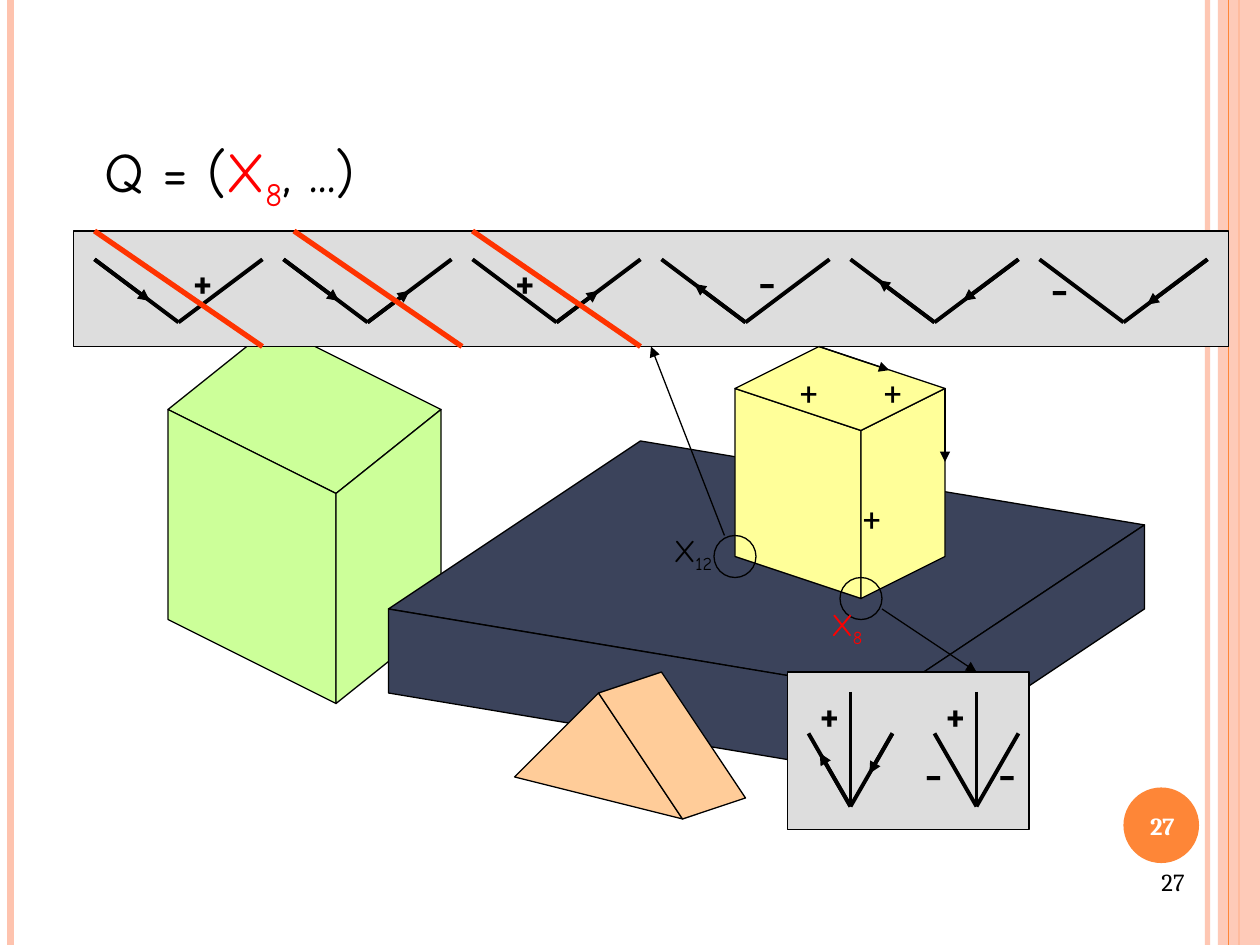
from typing import NamedTuple, Optional

from lxml import etree
from pptx import Presentation, util as u
from pptx.dml import color
from pptx.enum import shapes, text
from pptx.oxml import ns

COLORS = {
    "black": "000000", "white": "FFFFFF", "red": "FF0000", "strike": "FF3300",
    "green": "CCFF99", "slate": "3B435B", "peach": "FFCC99", "yellow": "FFFF99",
    "panel": "DDDDDD", "pink": "FEC3AE", "orange": "FE8637",
}
Point = tuple[float, float]


class Run(NamedTuple):
    """A piece of text with its colour."""
    text: str
    color: str = "black"
    sub: bool = False


class Face(NamedTuple):
    """One filled side of a solid."""
    color: str
    points: list[Point]


class Label(NamedTuple):
    """A one-line text and its box."""
    x: float
    y: float
    w: float
    runs: list[Run]
    size: int = 18
    font: str = "Roboto"
    bold: bool = False


class Fork(NamedTuple):
    """A V; arrows run along it from 0 (left end) over 1 (vertex) to 2 (right end)."""
    x: float
    y: float
    half: float
    depth: float
    arrows: list[Point]
    stem: float = 0


def grid(n: float) -> u.Length:
    """Turn grid units, twelve to the inch, into a length."""
    return u.Cm(n * 2.54 / 12)


def rgb(name: str) -> color.RGBColor:
    """Look up a colour."""
    return color.RGBColor.from_string(COLORS[name])


def set_alpha(el, percent: int) -> None:
    """Make the colour inside an element partly transparent."""
    clr = next(el.iter(ns.qn("a:srgbClr")))
    etree.SubElement(clr, ns.qn("a:alpha"), val=str(percent * 1000))


def style(sp, fill: Optional[str], line: Optional[str] = "black"):
    """Set fill and outline, and drop the shadow."""
    sp.shadow.inherit = False
    if fill:
        sp.fill.solid()
        sp.fill.fore_color.rgb = rgb(fill)
    else:
        sp.fill.background()
    if line:
        sp.line.color.rgb = rgb(line)
        sp.line.width = u.Pt(0.75)
    else:
        sp.line.fill.background()
    return sp


def add_box(s, kind, x: float, y: float, w: float, h: float,
            fill: Optional[str], line: Optional[str] = "black"):
    """Add a preset shape."""
    return style(s.shapes.add_shape(kind, grid(x), grid(y), grid(w), grid(h)), fill, line)


def add_face(s, face: Face) -> None:
    """Add one polygon."""
    pts = [(grid(x), grid(y)) for x, y in face.points]
    fb = s.shapes.build_freeform(*pts[0])
    fb.add_line_segments(pts[1:], close=True)
    style(fb.convert_to_shape(), face.color)


def add_line(s, a: Point, b: Point, width: float = 0.75, name: str = "black", arrow: bool = False):
    """Add a straight line, with an arrowhead at its end on request."""
    c = s.shapes.add_connector(shapes.MSO_CONNECTOR.STRAIGHT, *map(grid, (*a, *b)))
    c.line.color.rgb = rgb(name)
    c.line.width = u.Pt(width)
    if arrow:
        etree.SubElement(c.line._get_or_add_ln(), ns.qn("a:tailEnd"), type="triangle")
    etree.SubElement(c._element.spPr, ns.qn("a:effectLst"))
    return c


def add_fork(s, f: Fork) -> None:
    """Draw a V with its arrows and, if it has one, its stem."""
    def at(t: float) -> Point:
        return f.x + t * f.half, f.y + f.depth * (1 - abs(t - 1))

    for a, b in [(0, 1), (1, 2)]:
        add_line(s, at(a), at(b), 2.25)
    for a, b in f.arrows:
        add_line(s, at(a), at(b), 2.25, arrow=True)
    if f.stem:
        x, y = at(1)
        add_line(s, (x, y - f.stem), (x, y), 2.25)


def write(tf, runs: list[Run], size: int, font: str, bold: bool = False, align=text.PP_ALIGN.LEFT) -> None:
    """Fill a text frame with one formatted paragraph."""
    p = tf.paragraphs[0]
    p.alignment = align
    for run in runs:
        r = p.add_run()
        r.text = run.text
        r.font.size, r.font.name, r.font.bold = u.Pt(size), font, bold
        r.font.color.rgb = rgb(run.color)
        if run.sub:
            r.font._element.set("baseline", "-25000")


def add_label(s, lb: Label) -> None:
    """Add a label that does not wrap."""
    h = 7.6 if lb.size == 32 else 4.8
    tf = s.shapes.add_textbox(*map(grid, (lb.x, lb.y, lb.w, h))).text_frame
    tf.word_wrap = False
    tf.auto_size = text.MSO_AUTO_SIZE.SHAPE_TO_FIT_TEXT
    write(tf, lb.runs, lb.size, lb.font, lb.bold)


def add_page_number(s, x: float, y: float, w: float, h: float, name: str, bold: bool, align, anchor) -> None:
    """Add the page number."""
    tf = s.shapes.add_textbox(*map(grid, (x, y, w, h))).text_frame
    tf.word_wrap = True
    tf.vertical_anchor = anchor
    write(tf, [Run("27", name)], 14, "Cambria", bold, align)


def plus(x: float, y: float, bold: bool = True) -> Label:
    """Make a plus sign."""
    return Label(x, y, 4.9 if bold else 4.6, [Run("+")], bold=bold)


def minus(x: float, y: float) -> Label:
    """Make a minus sign."""
    return Label(x, y, 4.3, [Run("-")], size=32)


FACES = [
    Face("green", [(16, 39), (32, 47), (42, 39), (26, 31)]),
    Face("green", [(16, 59), (16, 39), (32, 47), (32, 67)]),
    Face("green", [(42, 59), (32, 67), (32, 47), (42, 39)]),
    Face("slate", [(37, 58), (85, 66), (109, 50), (61, 42)]),
    Face("slate", [(37, 66), (37, 58), (85, 66), (85, 74)]),
    Face("slate", [(109, 58), (109, 50), (85, 66), (85, 74)]),
    Face("peach", [(49, 74), (65, 78), (57, 66)]),
    Face("peach", [(57, 66), (63, 64), (71, 76), (65, 78)]),
    Face("yellow", [(70, 53), (82, 57), (82, 41), (70, 37)]),
    Face("yellow", [(82, 41), (90, 37), (90, 53), (82, 57)]),
    Face("yellow", [(70, 37), (78, 33), (90, 37), (82, 41)]),
]
STRIP_ARROWS = [
    [(0, 0.66)], [(0, 0.66), (1, 1.5)], [(1, 1.5)],
    [(1, 0.39)], [(1, 0.33), (2, 1.34)], [(2, 1.28)],
]
FORKS = [Fork(9 + 18 * i, 24.7, 8, 6, arrows) for i, arrows in enumerate(STRIP_ARROWS)]
FORKS += [Fork(x, 69.85, 4, 6.95, arrows, stem=10.9)
          for x, arrows in [(77, [(2, 1.45), (1, 0.27)]), (89, [])]]
LABELS = [
    plus(75, 35, False), plus(83, 35, False), plus(81, 47, False),
    plus(17.3, 24.7), plus(48, 24.7), plus(77, 65.9), plus(89, 65.9),
    minus(71.15, 23), minus(99, 23.65), minus(87, 69.85), minus(94, 69.85),
    Label(63, 50, 6.7, [Run("X"), Run("12", sub=True)], font="Comic Neue"),
    Label(78, 57, 5.8, [Run("X", "red"), Run("8", "red", True)], font="Comic Neue"),
]
RECT, OVAL = shapes.MSO_SHAPE.RECTANGLE, shapes.MSO_SHAPE.OVAL

prs = Presentation()
prs.slide_width, prs.slide_height = grid(120), grid(90)
s = prs.slides.add_slide(prs.slide_layouts[5])

title = s.shapes.title
title.left, title.top, title.width, title.height = map(grid, (8.75, 12.4, 30, 7.6))
title.text_frame.word_wrap = False
title.text_frame.auto_size = text.MSO_AUTO_SIZE.NONE
title.text_frame.vertical_anchor = text.MSO_ANCHOR.TOP
write(title.text_frame, [Run("Q = ("), Run("X", "red"), Run("8", "red", True), Run(", ...)")],
      32, "Comic Neue")

inner = add_line(s, (115, 0), (115, 90), 3, "pink")
set_alpha(inner._element.spPr, 93)
add_line(s, (1, 0), (1, 90), 4.5, "pink")
add_line(s, (118, 0), (118, 90), 1.5, "orange")
band = add_box(s, RECT, 116, 0, 4, 90, "pink", None)
set_alpha(band._element.spPr, 87)
add_line(s, (117, 0), (117, 90), 0.75, "orange")
add_box(s, OVAL, 107, 75, 7.2, 7.2, "orange", None)
add_page_number(s, 106.7, 75.2, 8, 6.8, "white", True, text.PP_ALIGN.CENTER, text.MSO_ANCHOR.MIDDLE)

for face in FACES:
    add_face(s, face)
add_box(s, RECT, 75, 64, 23, 15, "panel")
add_box(s, RECT, 7, 22, 110, 11, "panel")
for x, y in [(80, 55), (68, 51)]:
    add_box(s, OVAL, x, y, 4, 4, None)
for fork in FORKS:
    add_fork(s, fork)
for a, b in [((84, 58), (93, 64)), ((69, 51), (62, 33)), ((90, 37), (90, 44)), ((78, 33), (84.7, 35.25))]:
    add_line(s, a, b, arrow=True)
for label in LABELS:
    add_label(s, label)
for x in (9, 28, 45):
    add_line(s, (x, 22), (x + 16, 33), 3, "strike")
add_page_number(s, 86, 82, 28, 6.2, "black", False, text.PP_ALIGN.RIGHT, text.MSO_ANCHOR.TOP)

prs.save("out.pptx")
